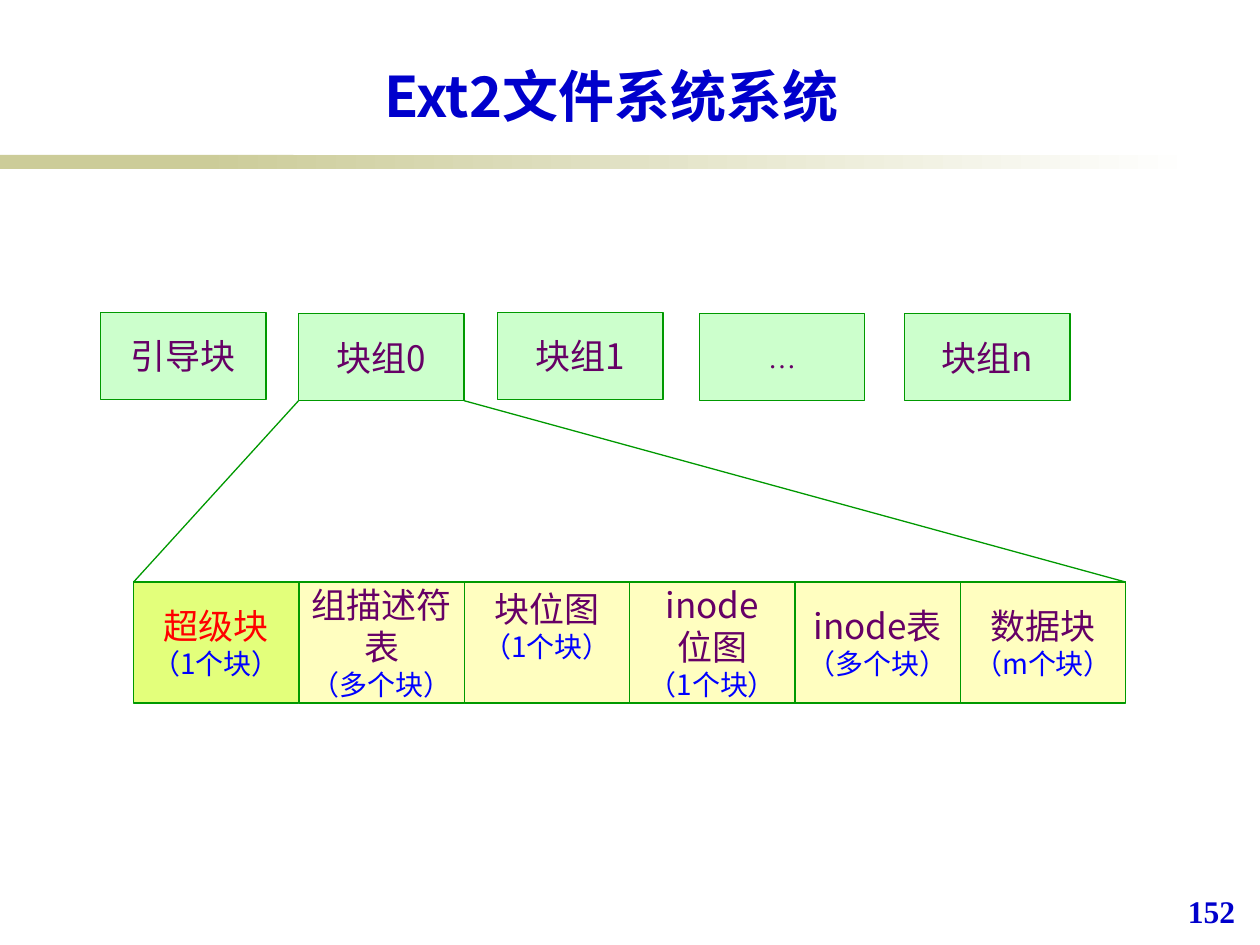
from lxml import etree
from pptx import Presentation
from pptx.dml.color import RGBColor
from pptx.enum.shapes import MSO_CONNECTOR, MSO_SHAPE
from pptx.enum.text import MSO_ANCHOR, PP_ALIGN
from pptx.oxml.ns import qn
from pptx.util import Inches, Pt

RECT = MSO_SHAPE.RECTANGLE
LINE = MSO_CONNECTOR.STRAIGHT
MID, LOW = MSO_ANCHOR.MIDDLE, MSO_ANCHOR.BOTTOM
CENTER, LEFT = PP_ALIGN.CENTER, PP_ALIGN.LEFT

SANS, SERIF = "Noto Sans CJK JP", "Times New Roman"
HUE = {
    "band": "CCCC99", "white": "FFFFFF", "edge": "009900",
    "group": "CCFFCC", "super": "E3FF7B", "part": "FFFEC0",
    "name": "660066", "alert": "FF0000", "note": "0000FF", "head": "0000CC",
}

CELL = 1.3125            # width of every block
DISK_H, PART_H = 0.69, 0.96
PART_X, PART_Y = 1.06, 4.62
PAD = 0.08

# text, left, top, font, size
DISK = [
    ("引导块", 0.8, 2.48, SANS, 20),
    ("块组0", 2.37, 2.49, SANS, 20),
    ("块组1", 3.95, 2.48, SANS, 20),
    ("…", 5.55, 2.49, SERIF, 16),
    ("块组n", 7.18, 2.49, SANS, 20),
]
# name lines, size note, fill, name colour, bottom inset
PARTS = [
    (["超级块"], "（1个块）", "super", "alert", 0.05),
    (["组描述符表"], "（多个块）", "part", "name", 0.05),
    (["块位图"], "（1个块）", "part", "name", 0.32),
    (["inode", "位图"], "（1个块）", "part", "name", 0.05),
    (["inode表"], "（多个块）", "part", "name", 0.05),
    (["数据块"], "（m个块）", "part", "name", 0.05),
]


def rgb(key):
    return RGBColor.from_string(HUE[key])


def write(frame, rows, align=CENTER, bold=False):
    """Fill a frame with one paragraph per (text, font, size, colour) row."""
    frame.word_wrap = True
    for i, (text, face, size, key) in enumerate(rows):
        para = frame.add_paragraph() if i else frame.paragraphs[0]
        para.alignment = align
        run = para.add_run()
        run.text = text
        font = run.font
        font.name, font.size, font.bold = face, Pt(size), bold
        font.color.rgb = rgb(key)
        east = etree.Element(qn("a:ea"), typeface=face)
        font._element.find(qn("a:latin")).addnext(east)


def add_rect(slide, x, y, w, h, key, edge=True):
    box = slide.shapes.add_shape(RECT, *map(Inches, (x, y, w, h)))
    box.shadow.inherit = False
    box.fill.solid()
    box.fill.fore_color.rgb = rgb(key)
    if edge:
        box.line.color.rgb = rgb("edge")
        box.line.width = Pt(0.75)
    else:
        box.line.fill.background()
    return box


def add_block(slide, x, y, h, key, rows, low=0.05):
    frame = add_rect(slide, x, y, CELL, h, key).text_frame
    frame.vertical_anchor = MID
    frame.margin_left = frame.margin_right = Inches(PAD)
    frame.margin_bottom = Inches(low)
    write(frame, rows)


def add_line(slide, x1, y1, x2, y2):
    line = slide.shapes.add_connector(LINE, *map(Inches, (x1, y1, x2, y2)))
    line.line.color.rgb = rgb("edge")
    line.line.width = Pt(0.75)
    etree.SubElement(line._element.spPr, qn("a:effectLst"))


def add_band(slide):
    add_rect(slide, 0, 1.23, 2.33, 0.11, "band", edge=False)
    fade = add_rect(slide, 1.58, 1.23, 7.92, 0.11, "band", edge=False).fill
    fade.gradient()
    fade.gradient_angle = 0
    for stop, key, pos in zip(fade.gradient_stops, ("band", "white"), (0, 1)):
        stop.color.rgb = rgb(key)
        stop.position = pos


def add_title(slide):
    title = slide.shapes.title
    title.left, title.top = Inches(0.83), Inches(0.44)
    title.width, title.height = Inches(8.05), Inches(0.63)
    title.text_frame.vertical_anchor = LOW
    write(title.text_frame, [("Ext2文件系统系统", SANS, 32, "head")], bold=True)


def add_number(slide):
    box = slide.shapes.add_textbox(*map(Inches, (9.33, 7.03, 0.64, 0.5)))
    write(box.text_frame, [("152", SERIF, 18, "head")], LEFT, True)


def main():
    deck = Presentation()
    deck.slide_width, deck.slide_height = Inches(10), Inches(7.5)
    slide = deck.slides.add_slide(deck.slide_layouts[5])
    add_band(slide)
    add_title(slide)
    for text, x, y, face, size in DISK:
        add_block(slide, x, y, DISK_H, "group", [(text, face, size, "name")])
    for col, (names, note, fill, key, low) in enumerate(PARTS):
        rows = [(name, SANS, 20, key) for name in names]
        rows.append((note, SANS, 16, "note"))
        add_block(slide, PART_X + col * CELL, PART_Y, PART_H, fill, rows, low)
    _, left, top, _, _ = DISK[1]
    foot = top + DISK_H
    add_line(slide, left, foot, PART_X, PART_Y)
    add_line(slide, left + CELL, foot, PART_X + len(PARTS) * CELL, PART_Y)
    add_number(slide)
    deck.save("out.pptx")


if __name__ == "__main__":
    main()
